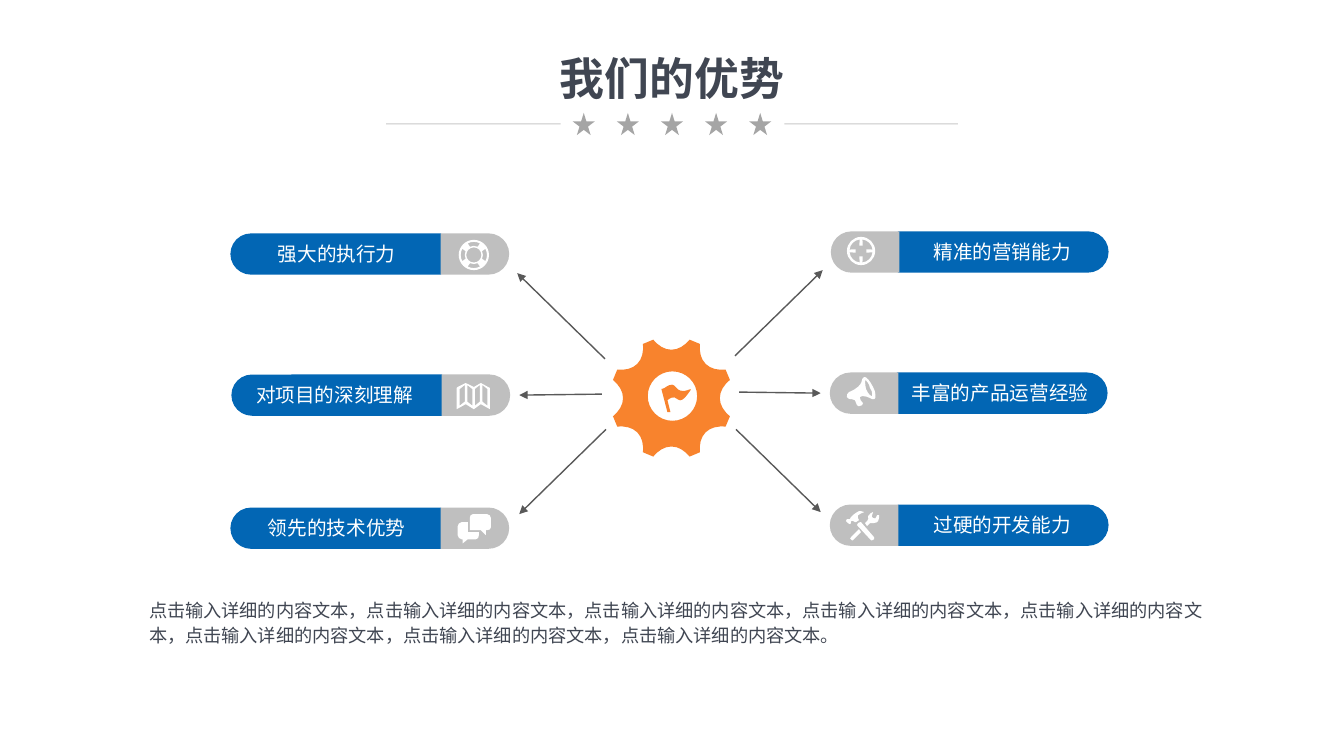
from math import ceil, cos, radians, sin, tan

from lxml import etree
from pptx import Presentation
from pptx.dml.color import RGBColor
from pptx.enum.shapes import MSO_CONNECTOR, MSO_SHAPE
from pptx.enum.text import MSO_ANCHOR, MSO_AUTO_SIZE, PP_ALIGN
from pptx.oxml.ns import qn
from pptx.util import Inches, Pt

STRAIGHT = MSO_CONNECTOR.STRAIGHT
PILL_END = MSO_SHAPE.ROUND_2_SAME_RECTANGLE
STAR = MSO_SHAPE.STAR_5_POINT
MIDDLE = MSO_ANCHOR.MIDDLE
NO_FIT = MSO_AUTO_SIZE.NONE
CENTER, LEFT = PP_ALIGN.CENTER, PP_ALIGN.LEFT
FONT = "Noto Sans CJK SC"
BLUE, GRAY, ORANGE, WHITE = "0266B4", "BFBFBF", "F8832D", "FFFFFF"
INK, ARROW, STAR_GRAY = "404652", "595959", "A5A5A5"

presentation = Presentation()
presentation.slide_width = Inches(13.33)
presentation.slide_height = Inches(7.5)
slide = presentation.slides.add_slide(presentation.slide_layouts[5])
shapes = slide.shapes


def paint(shape, color):
    shape.shadow.inherit = False
    shape.fill.solid()
    shape.fill.fore_color.rgb = RGBColor.from_string(color)
    shape.line.fill.background()


def add_outline(contours, color):
    builder, segments = None, []
    for contour in contours:
        steps = []
        for step in contour:
            if len(step) != 5:
                steps.append(step)
                continue
            x, y, radius, start, end = step
            count = ceil(abs(end - start) / 90)
            turn = radians(end - start) / count
            reach = 4 / 3 * tan(turn / 4)
            steps.append((x + radius * cos(radians(start)), y + radius * sin(radians(start))))
            for index in range(count):
                a = radians(start) + turn * index
                b = a + turn
                steps.append((x + radius * (cos(a) - reach * sin(a)), y + radius * (sin(a) + reach * cos(a)),
                              x + radius * (cos(b) + reach * sin(b)), y + radius * (sin(b) - reach * cos(b)),
                              x + radius * cos(b), y + radius * sin(b)))
        points = [(Inches(step[-2]), Inches(step[-1])) for step in steps]
        if builder is None:
            builder = shapes.build_freeform(*points[0])
        else:
            builder.move_to(*points[0])
        builder.add_line_segments(points[1:], close=True)
        segments += steps[1:]
    shape = builder.convert_to_shape()
    for element, step in zip(list(shape._element.iter(qn("a:lnTo"))), segments):
        if len(step) == 6:
            curve = etree.Element(qn("a:cubicBezTo"))
            for x, y in zip(step[::2], step[1::2]):
                etree.SubElement(curve, qn("a:pt"), x=str(Inches(x) - shape.left), y=str(Inches(y) - shape.top))
            element.getparent().replace(element, curve)
    paint(shape, color)


lines = [
    (8.16, 2.68, 7.29, 3.53, ARROW, 1),
    (8.14, 3.9, 7.33, 3.89, ARROW, 1),
    (5.13, 2.71, 6, 3.56, ARROW, 1),
    (5.15, 3.92, 5.97, 3.91, ARROW, 1),
    (5.15, 5.1, 6.01, 4.26, ARROW, 1),
    (8.14, 5.08, 7.3, 4.26, ARROW, 1),
    (7.78, 1.23, 9.5, 1.23, STAR_GRAY, 0.75),
    (3.83, 1.23, 5.56, 1.23, STAR_GRAY, 0.75),
]
for x1, y1, x2, y2, color, width in lines:
    connector = shapes.add_connector(STRAIGHT, Inches(x1), Inches(y1), Inches(x2), Inches(y2))
    connector.line.color.rgb = RGBColor.from_string(color)
    connector.line.width = Pt(width)
    properties = connector.line._ln
    if color == ARROW:
        etree.SubElement(properties, qn("a:headEnd"), type="triangle")
    else:
        etree.SubElement(properties.find(".//" + qn("a:srgbClr")), qn("a:alpha"), val="60000")
    etree.SubElement(connector._element.spPr, qn("a:effectLst"))

gear = []
for angle in range(0, 360, 45):
    c, s = cos(radians(angle)), sin(radians(angle))
    notch = [(0.58, -0.18), (0.52, -0.13), (0.48, -0.07), (0.48, 0), (0.48, 0.07), (0.52, 0.13), (0.58, 0.18)]
    turned = [(6.66 + x * c - y * s, 3.95 + x * s + y * c) for x, y in notch]
    gear += [turned[0], sum(turned[1:4], ()), sum(turned[4:], ())]
add_outline([gear, [(6.67, 3.93, 0.245, 0, 360)]], ORANGE)
flag = [(6.85, 3.86), (6.66, 3.94, 6.74, 3.74, 6.59, 3.85), (6.56, 3.86), (6.62, 4.09),
        (6.65, 4.09), (6.62, 3.97), (6.75, 3.87, 6.7, 4.09, 6.85, 3.87)]
add_outline([flag], ORANGE)

texts = [
    ("我们的优势", 5.44, 0.45, 2.45, 0.64, CENTER, {"size": Pt(32), "bold": True}, INK),
    ("点击输入详细的内容文本，" * 7 + "点击输入详细的内容文本。",
     1.38, 5.86, 10.74, 0.6, LEFT, {"size": Pt(13)}, INK),
]
advantages = [
    ("强大的执行力", 3.34, 3.33, 4.71, 2.52, 270),
    ("对项目的深刻理解", 3.32, 3.34, 4.72, 3.92, 270),
    ("领先的技术优势", 3.34, 3.33, 4.71, 5.24, 270),
    ("精准的营销能力", 9.94, 9.95, 8.58, 2.5, 90),
    ("丰富的产品运营经验", 9.92, 9.94, 8.57, 3.9, 90),
    ("过硬的开发能力", 9.94, 9.95, 8.57, 5.21, 90),
]
for label, label_x, bar_x, badge_x, y, rotation in advantages:
    halves = [(bar_x, 2.09, rotation, BLUE), (badge_x, 0.68, 360 - rotation, GRAY)]
    for x, length, turn, color in halves:
        half = shapes.add_shape(PILL_END, Inches(x - 0.205), Inches(y - length / 2), Inches(0.41), Inches(length))
        half.adjustments[0], half.adjustments[1] = 0.5, 0
        half.rotation = turn
        paint(half, color)
    label_width = 0.24 + 0.2 * len(label)
    texts.append((label, label_x - label_width / 2, y - 0.18, label_width, 0.36, CENTER, {"size": Pt(14)}, WHITE))

lifebuoy = [[(4.7, 2.53, radius, 0, 360)] for radius in (0.15, 0.075)]
for angle in range(0, 360, 90):
    lifebuoy.append([(4.7, 2.53, 0.13, angle - 28, angle + 28), (4.7, 2.53, 0.09, angle + 25, angle - 25)])

folded_map = [[(4.54, 3.84), (4.62, 3.8), (4.7, 3.84), (4.77, 3.8), (4.86, 3.85),
               (4.86, 4.06), (4.77, 4.01), (4.7, 4.06), (4.62, 4.01), (4.53, 4.06), (4.53, 3.85)]]
for index in range(4):
    x = 4.56 + 0.075 * index
    start, end = (3.86, 3.82) if index % 2 == 0 else (3.82, 3.86)
    folded_map.append([(x, start), (x + 0.05, end), (x + 0.05, end + 0.165), (x, start + 0.165)])

chat = [
    [(4.64, 5.28), (4.64, 5.18), (4.58, 5.18), (4.56, 5.18, 4.54, 5.2, 4.54, 5.22), (4.54, 5.31),
     (4.54, 5.33, 4.56, 5.35, 4.58, 5.35), (4.59, 5.35), (4.59, 5.39), (4.64, 5.35), (4.72, 5.35),
     (4.74, 5.35, 4.75, 5.33, 4.75, 5.31), (4.75, 5.28)],
    [(4.83, 5.1), (4.69, 5.1), (4.67, 5.1, 4.66, 5.12, 4.66, 5.14), (4.66, 5.26), (4.77, 5.26),
     (4.82, 5.31), (4.82, 5.26), (4.83, 5.26), (4.85, 5.26, 4.87, 5.25, 4.87, 5.23), (4.87, 5.14),
     (4.87, 5.12, 4.85, 5.1, 4.83, 5.1)],
]

crosshair = []
for angle in range(0, 360, 90):
    crosshair += [(8.54, 2.49, 0.115, angle + 7, angle + 83), (8.54, 2.49, 0.055, angle + 73, angle + 107)]
target = [[(8.54, 2.49, 0.14, 0, 360)], crosshair]

megaphone = [
    [(8.66, 3.84), (8.63, 3.78, 8.59, 3.73, 8.57, 3.74), (8.53, 3.75, 8.59, 3.82, 8.42, 3.89),
     (8.4, 3.9, 8.4, 3.92, 8.4, 3.94), (8.41, 3.95, 8.43, 3.97, 8.45, 3.96), (8.48, 3.97),
     (8.5, 4.02), (8.52, 4.03), (8.55, 4.02), (8.56, 4), (8.54, 3.98, 8.53, 3.96, 8.53, 3.95),
     (8.52, 3.95, 8.53, 3.93, 8.55, 3.93), (8.63, 3.93, 8.64, 3.97, 8.67, 3.96),
     (8.69, 3.96, 8.69, 3.89, 8.66, 3.84)],
    [(8.65, 3.93), (8.64, 3.93, 8.61, 3.91, 8.59, 3.86), (8.58, 3.82, 8.58, 3.77, 8.58, 3.77),
     (8.59, 3.77, 8.62, 3.8, 8.63, 3.85), (8.66, 3.89, 8.65, 3.93, 8.65, 3.93)],
]

tools = [
    [(8.44, 5.17), (8.45, 5.16, 8.47, 5.17, 8.48, 5.18), (8.49, 5.18), (8.52, 5.16), (8.51, 5.14),
     (8.48, 5.1, 8.59, 5.08, 8.57, 5.08), (8.56, 5.07, 8.52, 5.07, 8.52, 5.07),
     (8.5, 5.08, 8.47, 5.1, 8.46, 5.11), (8.44, 5.13), (8.43, 5.15), (8.4, 5.15), (8.39, 5.17),
     (8.41, 5.19), (8.43, 5.2), (8.44, 5.19)],
    [(8.54, 5.18), (8.53, 5.18), (8.51, 5.19), (8.5, 5.21), (8.64, 5.36), (8.65, 5.36), (8.67, 5.35),
     (8.67, 5.33)],
    [(8.72, 5.11), (8.7, 5.11), (8.69, 5.13), (8.69, 5.14, 8.68, 5.15, 8.66, 5.14),
     (8.64, 5.13, 8.65, 5.12, 8.65, 5.11), (8.66, 5.08), (8.65, 5.08, 8.62, 5.1, 8.61, 5.12),
     (8.61, 5.14, 8.62, 5.15, 8.6, 5.17), (8.58, 5.19), (8.6, 5.22), (8.63, 5.19), (8.66, 5.19),
     (8.69, 5.19, 8.7, 5.18, 8.71, 5.17), (8.72, 5.15, 8.72, 5.12, 8.72, 5.11)],
    [(8.44, 5.33), (8.43, 5.34, 8.43, 5.35, 8.44, 5.35), (8.45, 5.36), (8.46, 5.36), (8.54, 5.28),
     (8.52, 5.25)],
]
for icon in (lifebuoy, folded_map, chat, target, megaphone, tools):
    add_outline(icon, WHITE)

for index in range(5):
    star = shapes.add_shape(STAR, Inches(5.68 + 0.4375 * index), Inches(1.12), Inches(0.22), Inches(0.22))
    paint(star, STAR_GRAY)

for index, (text, left, top, width, height, alignment, formats, color) in enumerate(texts):
    place = [Inches(value) for value in (left, top, width, height)]
    box = shapes.title if index == 0 else shapes.add_textbox(*place)
    box.left, box.top, box.width, box.height = place
    settings = {"word_wrap": alignment == LEFT, "auto_size": NO_FIT, "vertical_anchor": MIDDLE,
                "margin_left": Inches(0.1), "margin_right": Inches(0.16 if alignment == LEFT else 0.1),
                "margin_top": Inches(0.05), "margin_bottom": Inches(0.05)}
    for name, value in settings.items():
        setattr(box.text_frame, name, value)
    paragraph = box.text_frame.paragraphs[0]
    paragraph.alignment = alignment
    if alignment == LEFT:
        paragraph.line_spacing = Pt(18)
    run = paragraph.add_run()
    run.text = text
    for name, value in {"name": FONT, **formats}.items():
        setattr(run.font, name, value)
    run.font.color.rgb = RGBColor.from_string(color)
    etree.SubElement(run.font._element, qn("a:ea"), typeface=FONT)

presentation.save("out.pptx")
